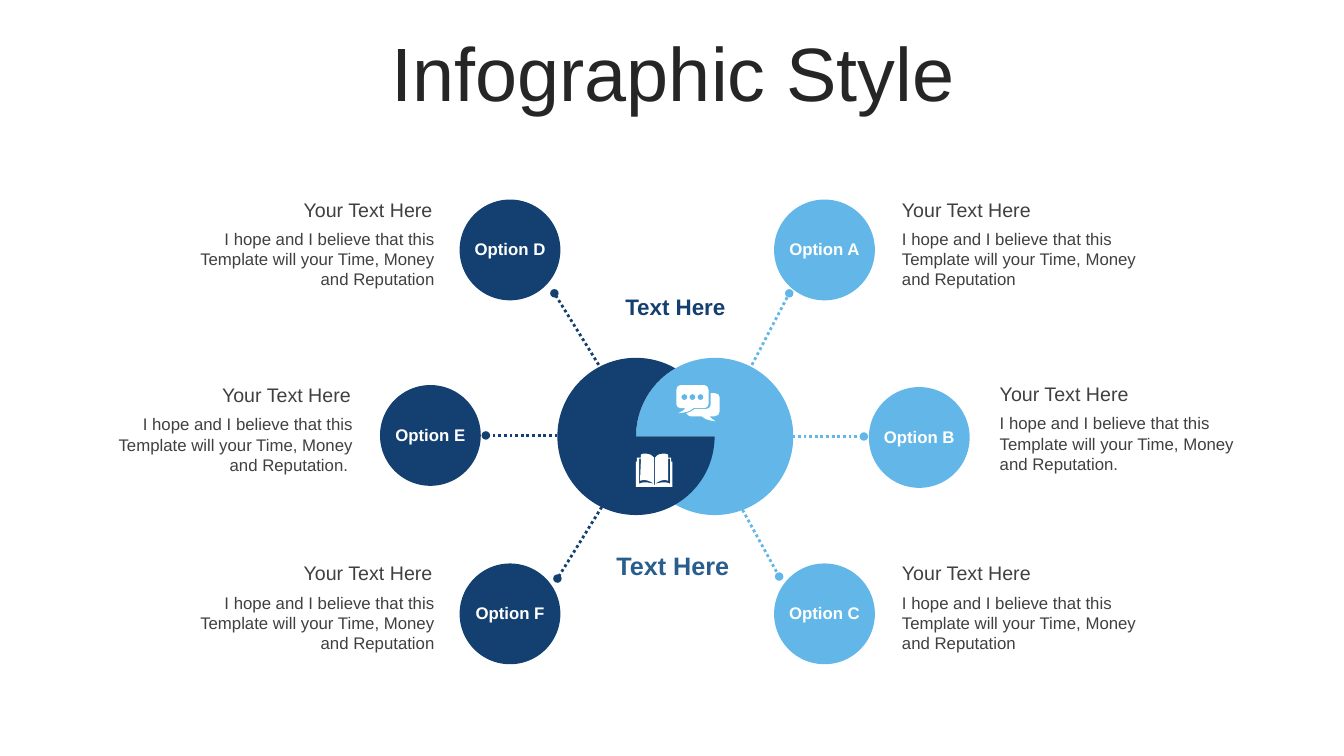
import math

import pptx
import pptx.dml.color
import pptx.enum.dml
import pptx.enum.shapes
import pptx.enum.text
import pptx.oxml
import pptx.oxml.ns
import pptx.util

Inches = pptx.util.Inches
Align = pptx.enum.text.PP_ALIGN
Preset = pptx.enum.shapes.MSO_SHAPE
qn = pptx.oxml.ns.qn

COLORS = {
    "title": "262626",
    "navy": "134070",
    "sky": "62B7E8",
    "steel": "285D8D",
    "body": "404040",
    "white": "FFFFFF",
}
FONT = "Arial"
HEADING = "Your Text Here"
DETAIL = "I hope and I believe that this Template will your Time, Money and Reputation"
HUB_RADIUS = 0.78
HUB_Y = 4.33
LEFT_HUB_X = 6.31
RIGHT_HUB_X = LEFT_HUB_X + HUB_RADIUS

# name, color, circle, heading corner, note width, ending, dotted line
OPTIONS = [
    ("Option A", "sky", (7.68, 1.98), (8.85, 1.91), 2.58, "", (7.46, 3.62, 7.83, 2.91)),
    ("Option B", "sky", (8.62, 3.84), (9.82, 3.74), 2.56, ".", (7.86, 4.33, 8.57, 4.33)),
    ("Option C", "sky", (7.68, 5.59), (8.85, 5.52), 2.58, "", (7.34, 5.01, 7.73, 5.72)),
    ("Option D", "navy", (4.56, 1.98), (1.83, 1.91), 2.58, "", (5.94, 3.62, 5.5, 2.91)),
    ("Option E", "navy", (3.77, 3.82), (1.04, 3.75), 2.56, ". ", (5.53, 4.32, 4.82, 4.32)),
    ("Option F", "navy", (4.56, 5.59), (1.83, 5.52), 2.58, "", (5.97, 5.03, 5.53, 5.74)),
]

BOOK = [
    (6.49, 4.81), (6.5, 4.81), (6.5, 4.8), (6.56, 4.79, 6.58, 4.77, 6.65, 4.8),
    (6.65, 4.55), (6.63, 4.55), (6.63, 4.77), (6.59, 4.75, 6.54, 4.77, 6.5, 4.8),
    (6.5, 4.54), (6.52, 4.51, 6.55, 4.5, 6.58, 4.5), (6.59, 4.5, 6.61, 4.5, 6.63, 4.51),
    (6.63, 4.54), (6.66, 4.54), (6.66, 4.58), (6.67, 4.58), (6.67, 4.83), (6.31, 4.83),
    (6.31, 4.58), (6.32, 4.58), (6.32, 4.54), (6.36, 4.54), (6.36, 4.51),
    (6.37, 4.5, 6.39, 4.5, 6.41, 4.5), (6.44, 4.5, 6.46, 4.51, 6.49, 4.54),
    (6.49, 4.8), (6.44, 4.77, 6.4, 4.75, 6.35, 4.77), (6.36, 4.55), (6.34, 4.55),
    (6.34, 4.8), (6.4, 4.77, 6.43, 4.79, 6.49, 4.8),
]
BACK_BUBBLE = [
    (7.05, 3.9), (7.09, 3.9), (7.12, 3.9, 7.14, 3.92, 7.14, 3.94), (7.14, 4.08),
    (7.14, 4.11, 7.12, 4.13, 7.09, 4.13), (7.04, 4.13), (7.05, 4.14, 7.05, 4.15, 7.1, 4.18),
    (7.02, 4.17, 7, 4.16, 6.96, 4.13), (6.85, 4.13), (6.84, 4.13, 6.82, 4.12, 6.81, 4.1),
    (6.84, 4.09, 6.87, 4.08, 6.89, 4.06), (7, 4.06), (7.03, 4.06, 7.05, 4.04, 7.05, 4.02),
]
FRONT_BUBBLE = [
    (6.75, 3.82), (6.99, 3.82), (7.01, 3.82, 7.03, 3.84, 7.03, 3.87), (7.03, 4.01),
    (7.03, 4.03, 7.01, 4.05, 6.99, 4.05), (6.88, 4.05), (6.83, 4.09, 6.81, 4.09, 6.73, 4.1),
    (6.78, 4.07, 6.78, 4.08, 6.8, 4.05), (6.75, 4.05), (6.73, 4.05, 6.71, 4.03, 6.71, 4.01),
    (6.71, 3.87), (6.71, 3.84, 6.73, 3.82, 6.75, 3.82),
]


def rgb(color):
    return pptx.dml.color.RGBColor.from_string(COLORS[color])


def element(tag, attributes=""):
    return pptx.oxml.parse_xml(f'<a:{tag} {pptx.oxml.ns.nsdecls("a")} {attributes}/>')


def paint(shape, color):
    shape.shadow.inherit = False
    shape.fill.solid()
    shape.fill.fore_color.rgb = rgb(color)
    shape.line.fill.background()


def write(frame, text, size, color, align, bold=False):
    frame.text = text
    paragraph = frame.paragraphs[0]
    paragraph.alignment = align
    font = paragraph.runs[0].font
    font.name, font.size, font.bold = FONT, pptx.util.Pt(size), bold
    font.color.rgb = rgb(color)


def add_text(slide, box, text, size, color, align, bold=False):
    frame = slide.shapes.add_textbox(*map(Inches, box)).text_frame
    frame.word_wrap = True
    write(frame, text, size, color, align, bold)


def add_round(slide, preset, left, top, size, color):
    shape = slide.shapes.add_shape(preset, *map(Inches, (left, top, size, size)))
    paint(shape, color)
    return shape


def add_dotted_line(slide, ends, color):
    connector = slide.shapes.add_connector(
        pptx.enum.shapes.MSO_CONNECTOR.STRAIGHT, *map(Inches, ends))
    connector.line.color.rgb = rgb(color)
    connector.line.width = pptx.util.Pt(2)
    connector.line.dash_style = pptx.enum.dml.MSO_LINE.ROUND_DOT
    properties = connector._element.spPr
    properties.find(qn("a:ln")).append(element("tailEnd", 'type="oval"'))
    properties.append(element("effectLst"))


def arc(x, y, radius, *angles):
    def at(angle, along=0):
        a = math.radians(angle)
        return (x + radius * (math.cos(a) - along * math.sin(a)),
                y + radius * (math.sin(a) + along * math.cos(a)))

    parts = [at(angles[0])]
    for start, end in zip(angles, angles[1:]):
        reach = 4 / 3 * math.tan(math.radians(end - start) / 4)
        parts.append(at(start, reach) + at(end, -reach) + at(end))
    return parts


def add_outline(slide, outlines, color):
    builder = None
    for first, *parts in outlines:
        start = tuple(map(Inches, first))
        if builder is None:
            builder = slide.shapes.build_freeform(*start)
        else:
            builder.move_to(*start)
        points = [(Inches(part[i]), Inches(part[i + 1]))
                  for part in parts for i in range(0, len(part), 2)]
        builder.add_line_segments(points, close=True)
    shape = builder.convert_to_shape()
    bend(shape, [part for outline in outlines for part in outline[1:]])
    paint(shape, color)


def bend(shape, parts):
    segments = iter(list(shape._element.iter(qn("a:lnTo"))))
    for part in parts:
        group = [next(segments) for _ in range(len(part) // 2)]
        if len(group) == 3:
            curve = element("cubicBezTo")
            group[0].addprevious(curve)
            for segment in group:
                curve.append(segment[0])
                segment.getparent().remove(segment)


def add_title(slide, text):
    title = slide.shapes.title
    title.left, title.top, title.width, title.height = map(Inches, (0.35, 0.37, 12.66, 0.79))
    title.text_frame.vertical_anchor = pptx.enum.text.MSO_ANCHOR.MIDDLE
    title.text_frame.auto_size = pptx.enum.text.MSO_AUTO_SIZE.NONE
    write(title.text_frame, text, 54, "title", Align.CENTER)
    title.text_frame.paragraphs[0].line_spacing = 0.9


def add_hub(slide):
    sky_pie = add_round(slide, Preset.PIE, RIGHT_HUB_X - HUB_RADIUS, HUB_Y - HUB_RADIUS,
                        2 * HUB_RADIUS, "sky")
    sky_pie.adjustments[0] = 0
    sky_pie.adjustments[1] = 180.48
    sky_pie.rotation = 180
    crescent = (arc(LEFT_HUB_X, HUB_Y, HUB_RADIUS, 0, 90, 180, 270, 300)
                + arc(RIGHT_HUB_X, HUB_Y, HUB_RADIUS, 240, 180)[1:])
    add_outline(slide, [crescent], "navy")
    add_text(slide, (6.06, 2.86, 1.28, 0.37), "Text Here", 16, "navy", Align.CENTER, True)
    add_text(slide, (6, 5.41, 1.35, 0.4), "Text Here", 18, "steel", Align.CENTER, True)


def add_icons(slide):
    add_outline(slide, [BOOK], "white")
    dots = [arc(6.79 + 0.08 * i, 3.94, 0.03, 0, 90, 180, 270, 360) for i in range(3)]
    add_outline(slide, [*dots, BACK_BUBBLE, FRONT_BUBBLE], "white")


def add_option(slide, name, color, spot, note, width, ending, ends):
    left, top = spot
    add_round(slide, Preset.OVAL, left, top, 1, color)
    add_text(slide, (left + 0.03, top + 0.34, 0.94, 0.3), name, 12, "white",
             Align.CENTER, True)
    add_dotted_line(slide, ends, color)
    left, top = note
    align = Align.LEFT if color == "sky" else Align.RIGHT
    add_text(slide, (left, top + 0.31, width, 0.71), DETAIL + ending, 12, "body", align)
    add_text(slide, (left, top, width - 0.02, 0.34), HEADING, 14, "body", align)


def main():
    deck = pptx.Presentation()
    deck.slide_width, deck.slide_height = Inches(40 / 3), Inches(7.5)
    slide = deck.slides.add_slide(deck.slide_layouts[5])
    add_title(slide, "Infographic Style")
    add_hub(slide)
    for option in OPTIONS:
        add_option(slide, *option)
    add_icons(slide)
    deck.save("out.pptx")


if __name__ == "__main__":
    main()
